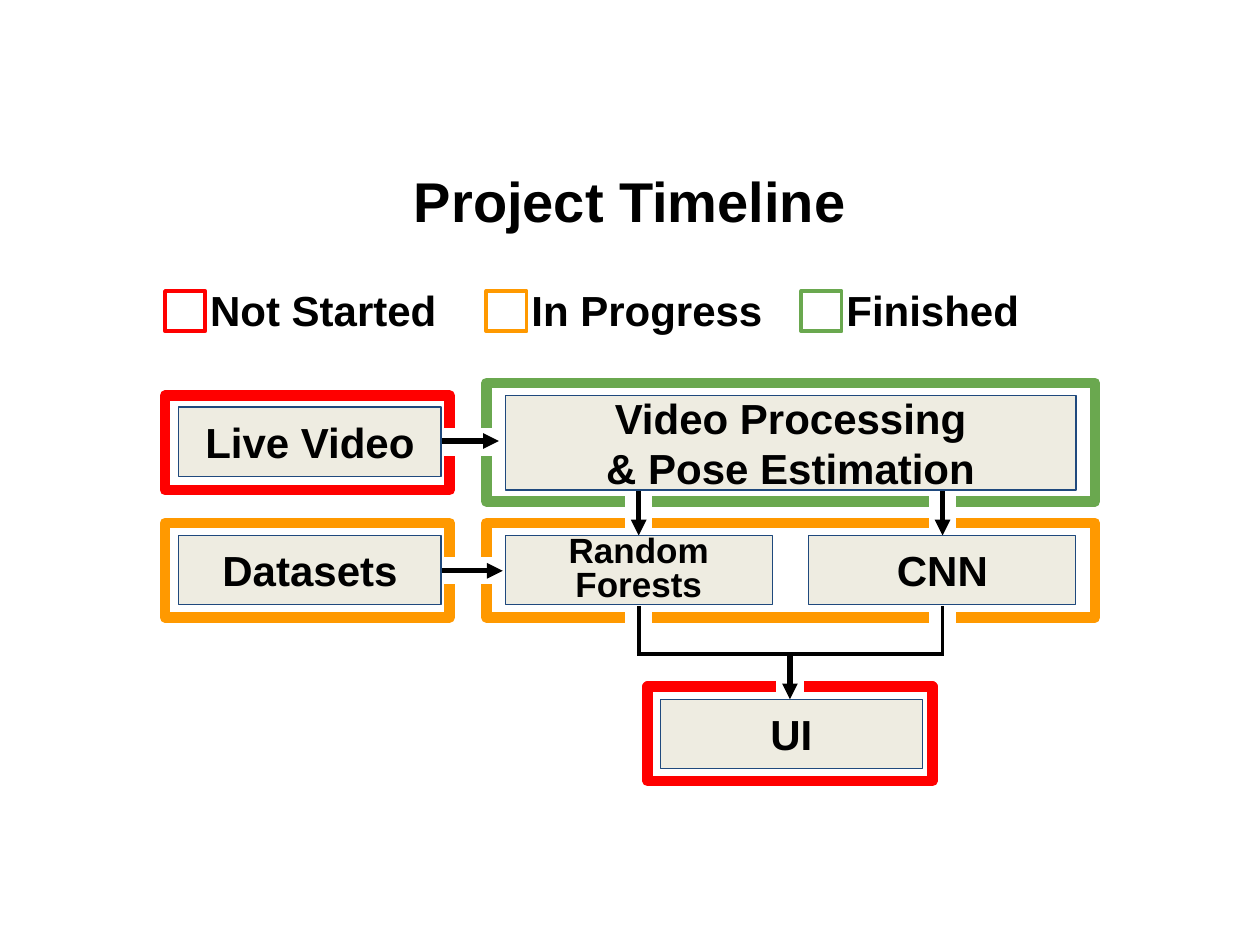
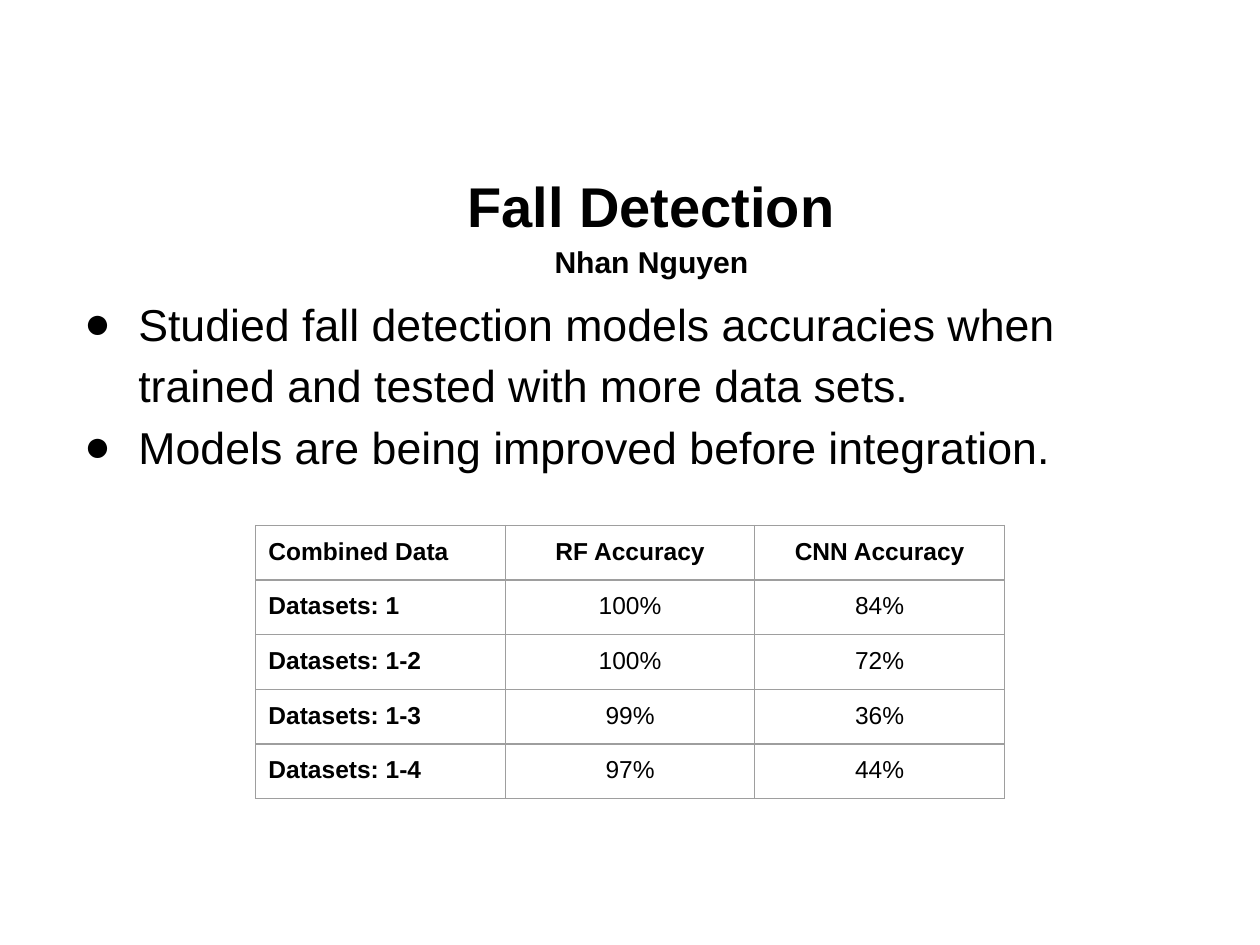
from dataclasses import dataclass
from lxml import etree
from pptx import Presentation
from pptx.dml.color import RGBColor
from pptx.enum import shapes, text
from pptx.oxml import ns
from pptx.util import Pt


@dataclass(frozen=True)
class Theme:
    font: str = "Arial"
    ink: str = "000000"
    paper: str = "FFFFFF"
    fill: str = "EEECE1"
    edge: str = "1F497D"
    grid: str = "9E9E9E"
    todo: str = "FF0000"
    doing: str = "FF9900"
    done: str = "6AA84F"
    title: float = 32
    name: float = 17.2
    body: float = 25.5
    label: float = 24
    small: float = 20
    cell: float = 14


T = Theme()
MID = text.PP_ALIGN.CENTER
LEFT = text.PP_ALIGN.LEFT


def rgb(code):
    return RGBColor.from_string(code)


def sub(node, tag, **attrs):
    return etree.SubElement(node, ns.qn("a:" + tag), attrs)


def add_run(para, words, size, bold=True):
    run = para.add_run()
    run.text = words
    font = run.font
    font.name, font.size, font.bold = T.font, Pt(size), bold
    font.color.rgb = rgb(T.ink)


def write(frame, lines, align=MID, bold=True, gap=None, pad=7.2):
    frame.word_wrap = True
    frame.margin_left = frame.margin_right = Pt(7.2)
    frame.margin_top = frame.margin_bottom = Pt(pad)
    for i, (words, size) in enumerate(lines):
        para = frame.add_paragraph() if i else frame.paragraphs[0]
        para.alignment = align
        if gap:
            para.line_spacing = gap
        add_run(para, words, size, bold)
    return frame.paragraphs


def add_text(slide, x, y, w, h, lines, mid=False, **look):
    frame = slide.shapes.add_textbox(Pt(x), Pt(y), Pt(w), Pt(h)).text_frame
    if mid:
        frame.vertical_anchor = text.MSO_ANCHOR.MIDDLE
    return write(frame, lines, **look)


def add_title(slide, x, y, lines, gap=None):
    add_text(slide, x, y, 648, 63.4, lines, mid=True, gap=gap, pad=3.6)


def add_rect(slide, x, y, w, h, line, width=0.75, fill=None):
    rect = slide.shapes.add_shape(
        shapes.MSO_SHAPE.RECTANGLE, Pt(x), Pt(y), Pt(w), Pt(h))
    rect.shadow.inherit = False
    if fill:
        rect.fill.solid()
        rect.fill.fore_color.rgb = rgb(fill)
    else:
        rect.fill.background()
    rect.line.color.rgb = rgb(line)
    rect.line.width = Pt(width)
    sub(rect.line._get_or_add_ln(), "round")
    return rect


def add_gap(slide, x, y, w, h):
    add_rect(slide, x, y, w, h, T.paper, fill=T.paper)


def add_box(slide, x, y, w, h, *rows, size=T.label, gap=None):
    frame = add_rect(slide, x, y, w, h, T.edge, fill=T.fill).text_frame
    frame.vertical_anchor = text.MSO_ANCHOR.MIDDLE
    write(frame, [(row, size) for row in rows], gap=gap)


def add_line(slide, x1, y1, x2, y2, width=2.25, arrow=False):
    line = slide.shapes.add_connector(
        shapes.MSO_CONNECTOR.STRAIGHT, Pt(x1), Pt(y1), Pt(x2), Pt(y2))
    line.line.color.rgb = rgb(T.ink)
    line.line.width = Pt(width)
    if arrow:
        sub(line.line._get_or_add_ln(), "tailEnd", type="triangle")
    sub(line._element.spPr, "effectLst")


def add_arrow(slide, x1, y1, x2, y2):
    add_line(slide, x1, y1, x2, y2, 3, True)


def add_key(slide, x, words, color):
    add_rect(slide, x, 166.3, 23, 23, color, 2.25)
    add_text(slide, x + 18.7, 155.5, 185, 43.9, [(words, T.label)], align=LEFT)


def add_list(slide, x, y, w, h, rows):
    paras = add_text(slide, x, y, w, h, [(row, T.body) for row in rows],
                     align=LEFT, bold=False, gap=1.15, pad=3.6)
    paras[0].space_before = Pt(6.4)
    for para in paras:
        props = para._p.get_or_add_pPr()
        props.set("marL", str(Pt(36)))
        props.set("indent", str(Pt(-31)))
        sub(sub(props, "buClr"), "srgbClr", val=T.ink)
        sub(props, "buFont", typeface=T.font)
        sub(props, "buChar", char="●")


def add_edges(cell):
    props = cell._tc.get_or_add_tcPr()
    for i, side in enumerate(("lnL", "lnR", "lnT", "lnB")):
        line = etree.Element(ns.qn("a:" + side), w=str(Pt(0.75)))
        sub(sub(line, "solidFill"), "srgbClr", val=T.grid)
        props.insert(i, line)


def add_grid(slide, x, y, wide, high, rows):
    count = len(rows[0])
    table = slide.shapes.add_table(len(rows), count, Pt(x), Pt(y),
                                   Pt(wide * count), Pt(high * len(rows))).table
    table.first_row = table.horz_banding = False
    for r, row in enumerate(rows):
        table.rows[r].height = Pt(high)
        for c, words in enumerate(row):
            table.columns[c].width = Pt(wide)
            cell = table.cell(r, c)
            cell.fill.background()
            cell.margin_left = cell.margin_right = Pt(7.2)
            cell.margin_top = cell.margin_bottom = Pt(7.2)
            para = cell.text_frame.paragraphs[0]
            para.alignment = MID if c else LEFT
            add_run(para, words, T.cell, r == 0 or c == 0)
            add_edges(cell)


def draw_plan(slide):
    forest, net, ui = 365, 538.6, 451.4
    add_title(slide, 36, 82.8, [("Project Timeline", T.title)])
    for x, words, color in ((94.3, "Not Started", T.todo),
                            (277.9, "In Progress", T.doing),
                            (457.9, "Finished", T.done)):
        add_key(slide, x, words, color)

    for x, y, w, h, color in ((277.9, 218.9, 347.8, 67.7, T.done),
                              (370.1, 392.4, 162.7, 54, T.todo),
                              (94.3, 226.1, 162.7, 54, T.todo),
                              (94.3, 298.8, 162.7, 54, T.doing),
                              (277.9, 298.8, 347.8, 54, T.doing)):
        add_rect(slide, x, y, w, h, color, 6)

    add_gap(slide, ui - 7.5, 372.2, 15, 36)
    for x, y in ((245.9, 245.2), (248.8, 318.6)):
        add_gap(slide, x, y, 36, 15)
    for x in (forest, net):
        for y in (277.2, 342.7):
            add_gap(slide, x - 7.5, y, 15, 28)
        add_arrow(slide, x, 280.1, x, 306)
        add_line(slide, x, 346.3, x, 373.7)
    add_line(slide, forest - 1, 373.7, net + 1, 373.7)
    add_arrow(slide, ui, 373.7, ui, 399.6)
    add_arrow(slide, 122.4, 252, 285.1, 252)
    add_arrow(slide, 124.6, 326.2, 287.3, 326.2)

    add_box(slide, 102.2, 232.6, 149.8, 39.6, "Live Video")
    add_box(slide, 102.2, 306, 149.8, 39.6, "Datasets")
    add_box(slide, 288.7, 226.1, 326.2, 54,
            "Video Processing", "& Pose Estimation")
    add_box(slide, 288.7, 306, 152.6, 39.6, "Random Forests",
            size=T.small, gap=0.8)
    add_box(slide, 462.2, 306, 152.6, 39.6, "CNN")
    add_box(slide, 377.3, 399.6, 149.8, 39.6, "UI")


def draw_fall(slide):
    add_list(slide, 36, 161.3, 648, 321, (
        "Studied fall detection models accuracies when trained and tested "
        "with more data sets.",
        "Models are being improved before integration."))
    add_title(slide, 48.2, 94.3, [("Fall Detection", T.title),
                                  ("Nhan Nguyen", T.name)], 1.15)
    add_grid(slide, 146.2, 300.2, 142.6, 30.1, (
        ("Combined Data", "RF Accuracy", "CNN Accuracy"),
        ("Datasets: 1", "100%", "84%"),
        ("Datasets: 1-2", "100%", "72%"),
        ("Datasets: 1-3", "99%", "36%"),
        ("Datasets: 1-4", "97%", "44%")))


def main():
    deck = Presentation()
    deck.slide_width, deck.slide_height = Pt(720), Pt(540)
    for draw in (draw_plan, draw_fall):
        draw(deck.slides.add_slide(deck.slide_layouts[6]))
    deck.save("out.pptx")


if __name__ == "__main__":
    main()
